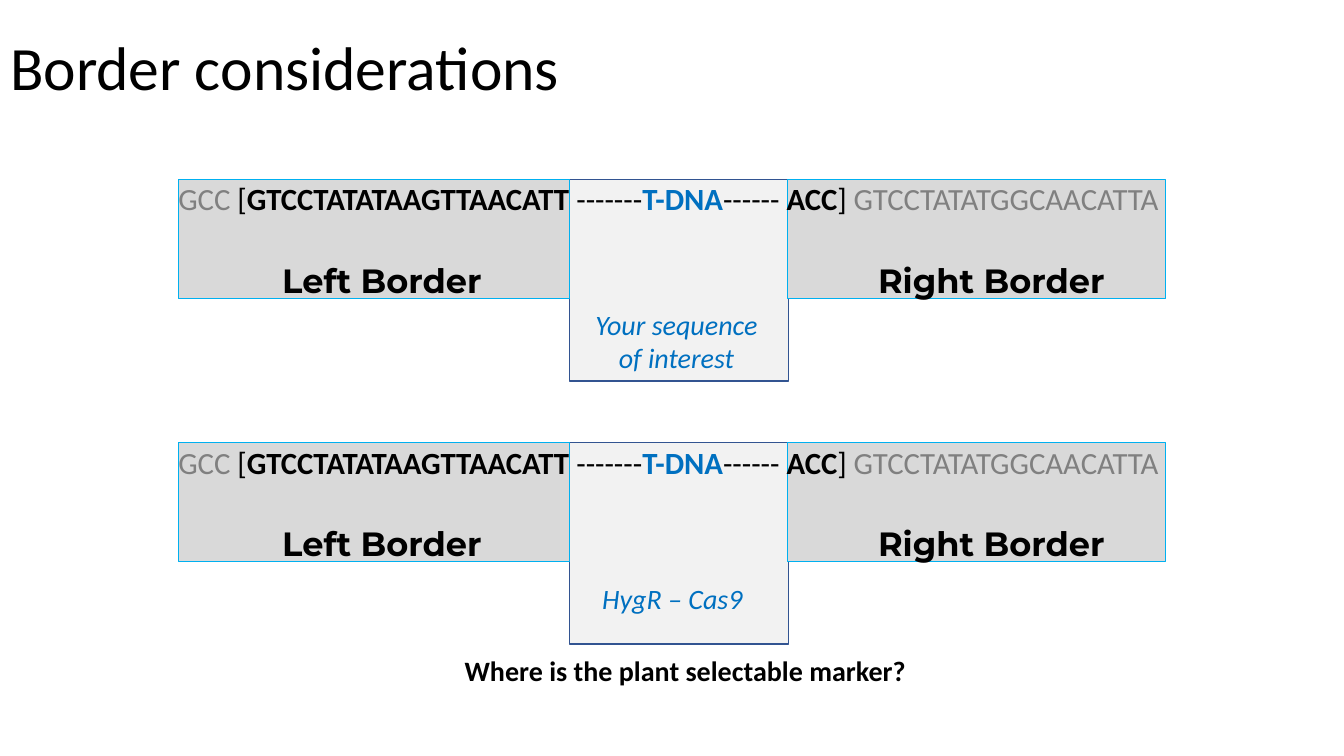
"""Build a slide on the border sequences that flank a T-DNA."""
from pptx import Presentation
from pptx import util as u
from pptx.dml import color
from pptx.enum import shapes, text

BLACK, GREY, BLUE = "000000", "808080", "0070C0"
SEQUENCE = [
    ("GCC", GREY, False),
    (" [", BLACK, False),
    ("GTCCTATATAAGTTAACATT", BLACK, True),
    (" -------", BLACK, False),
    ("T-DNA", BLUE, True),
    ("------ ", BLACK, False),
    ("ACC", BLACK, True),
    ("] ", BLACK, False),
    ("GTCCTATATGGCAACATTA", GREY, False),
]


def rgb(value):
    return color.RGBColor.from_string(value)


def write(paragraph, content, size=20, font="Calibri", fill=BLACK, bold=False, italic=False):
    run = paragraph.add_run()
    run.text = content
    run.font.size = u.Pt(size)
    run.font.name = font
    run.font.bold = bold
    run.font.italic = italic
    run.font.color.rgb = rgb(fill)


class BorderSlide:
    def __init__(self, presentation):
        self.slide = presentation.slides.add_slide(presentation.slide_layouts[5])

    def title(self, content, left, top, width, height):
        shape = self.slide.shapes.title
        shape.left, shape.top = u.Inches(left), u.Inches(top)
        shape.width, shape.height = u.Inches(width), u.Inches(height)
        frame = shape.text_frame
        frame.auto_size = text.MSO_AUTO_SIZE.NONE
        frame.vertical_anchor = text.MSO_ANCHOR.MIDDLE
        paragraph = frame.paragraphs[0]
        paragraph.alignment = text.PP_ALIGN.LEFT
        paragraph.line_spacing = 0.9
        write(paragraph, content, size=44)

    def box(self, left, top, width, height, fill, line):
        shape = self.slide.shapes.add_shape(
            shapes.MSO_SHAPE.RECTANGLE,
            u.Inches(left), u.Inches(top), u.Inches(width), u.Inches(height))
        shape.shadow.inherit = False
        shape.fill.solid()
        shape.fill.fore_color.rgb = rgb(fill)
        shape.line.color.rgb = rgb(line)
        shape.line.width = u.Pt(1)

    def paragraph(self, left, top, width, height, align=text.PP_ALIGN.LEFT):
        shape = self.slide.shapes.add_textbox(
            u.Inches(left), u.Inches(top), u.Inches(width), u.Inches(height))
        shape.text_frame.word_wrap = True
        paragraph = shape.text_frame.paragraphs[0]
        paragraph.alignment = align
        return paragraph

    def label(self, content, left, top, width, height, align=text.PP_ALIGN.LEFT, **style):
        write(self.paragraph(left, top, width, height, align), content, **style)

    def sequence(self, left, top, width, height):
        paragraph = self.paragraph(left, top, width, height)
        paragraph.line_spacing = 0.9
        for content, fill, bold in SEQUENCE:
            write(paragraph, content, size=22, fill=fill, bold=bold)

    def construct(self, top, insert, insert_left, insert_top, insert_height):
        self.box(5.65, top, 2.17, 2, "F2F2F2", "325491")
        for left, width in ((1.77, 3.88), (7.81, 3.75)):
            self.box(left, top, width, 1.18, "D9D9D9", "00B0F0")
        self.sequence(1.67, top, 10.53, 0.82)
        for content, left in (("Left Border", 2.7), ("Right Border", 8.61)):
            self.label(content, left, top + 0.75, 3.05, 0.5,
                       size=24, font="Montserrat", bold=True)
        self.label(insert, insert_left, insert_top, 1.96, insert_height,
                   text.PP_ALIGN.CENTER, fill=BLUE, italic=True)


def main():
    presentation = Presentation()
    presentation.slide_width = u.Inches(13.33)
    presentation.slide_height = u.Inches(7.5)
    border = BorderSlide(presentation)
    border.title("Border considerations", 0, -0.02, 8.62, 1.45)
    border.construct(1.78, "Your sequence of interest", 5.73, 3, 0.77)
    border.construct(4.39, "HygR – Cas9", 5.69, 5.72, 0.44)
    border.label("Where is the plant selectable marker?", 4.51, 6.43, 8.46, 0.44, bold=True)
    presentation.save("out.pptx")


if __name__ == "__main__":
    main()
